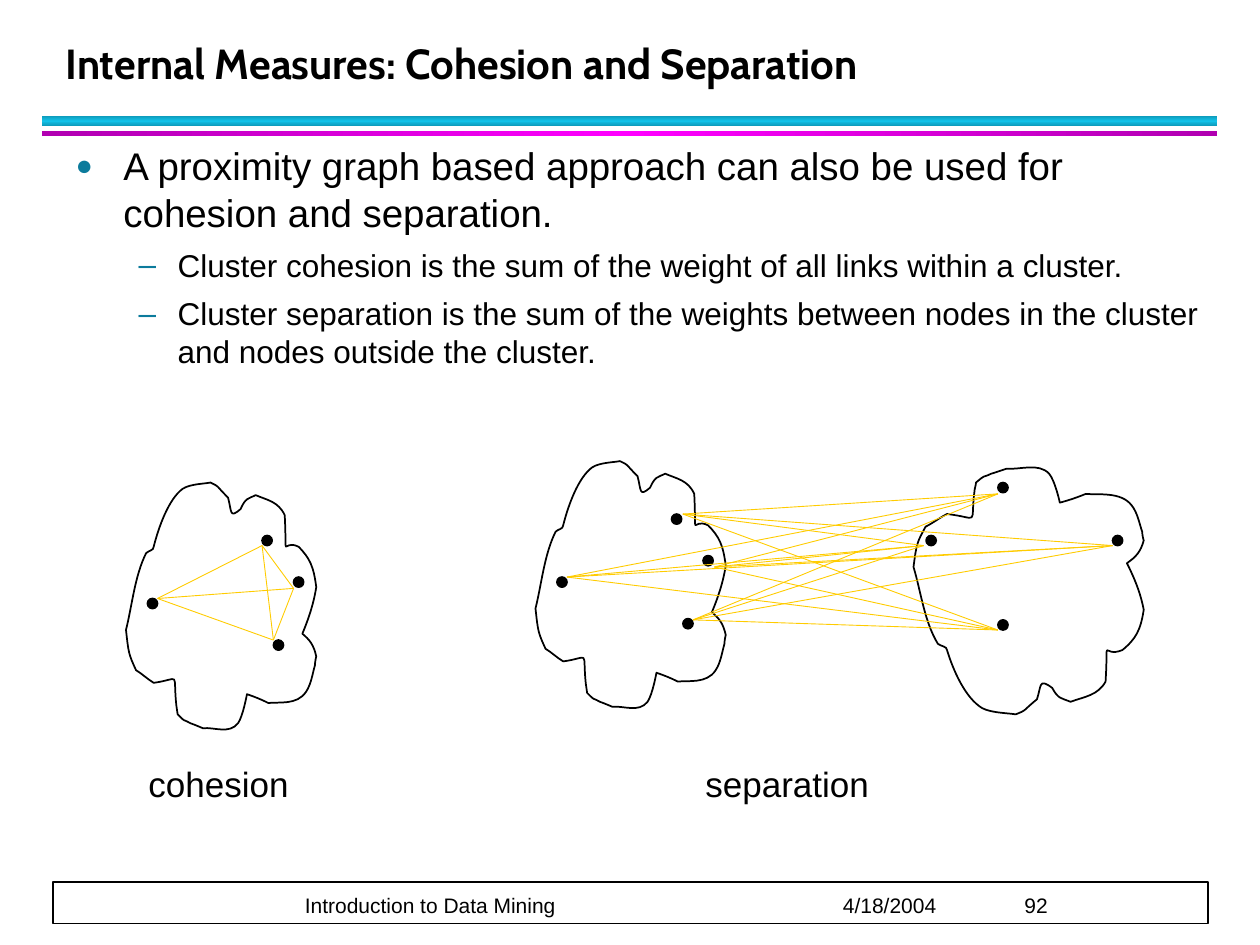
from copy import deepcopy
from itertools import combinations, product

from lxml import etree
from pptx import Presentation
from pptx.dml.color import RGBColor
from pptx.enum.shapes import MSO_CONNECTOR, MSO_SHAPE
from pptx.enum.text import MSO_ANCHOR, MSO_AUTO_SIZE, PP_ALIGN
from pptx.oxml.ns import qn
from pptx.util import Pt

RECTANGLE, OVAL = MSO_SHAPE.RECTANGLE, MSO_SHAPE.OVAL
STRAIGHT = MSO_CONNECTOR.STRAIGHT
BOTTOM = MSO_ANCHOR.BOTTOM
NO_AUTOFIT, GROW = MSO_AUTO_SIZE.NONE, MSO_AUTO_SIZE.SHAPE_TO_FIT_TEXT
LEFT = PP_ALIGN.LEFT
PX = 9144  # 100 px to the inch


def color(hex_string):
    return RGBColor.from_string(hex_string)


def set_font(paragraph, size, name="Arial", bold=False):
    font = paragraph.font
    font.name, font.size, font.bold = name, Pt(size), bold
    font.color.rgb = color("000000")


prs = Presentation()
prs.slide_width, prs.slide_height = 1000 * PX, 750 * PX
slide = prs.slides.add_slide(prs.slide_layouts[1])
shapes = slide.shapes
title, body = shapes.title, slide.placeholders[1]

# Title
title.left, title.top, title.width, title.height = 42 * PX, 17 * PX, 906 * PX, 58 * PX
title.text_frame.text = "Internal Measures: Cohesion and Separation"
title.text_frame.auto_size = NO_AUTOFIT
title.text_frame.vertical_anchor = BOTTOM
heading = title.text_frame.paragraphs[0]
heading.alignment = LEFT
heading.line_spacing = Pt(36)
set_font(heading, 24, "Cabin", True)

# Bulleted points: level, text
points = [
    (0, "A proximity graph based approach can also be used for cohesion and separation."),
    (1, "Cluster cohesion is the sum of the weight of all links within a cluster."),
    (1, "Cluster separation is the sum of the weights between nodes in the cluster "
        "and nodes outside the cluster."),
]
# Per level: text indent, hanging indent, bullet, bullet size, font size, space before
levels = [(38, 38, "●", 75, 22, 0), (81, 31, "–", 100, 18, 2.2)]
body.left, body.top, body.width, body.height = 50 * PX, 108 * PX, 925 * PX, 583 * PX
body.text_frame.auto_size = NO_AUTOFIT
body.text_frame.text = "\n".join(text for _, text in points)
for paragraph, (level, _) in zip(body.text_frame.paragraphs, points):
    indent, hanging, bullet, bullet_size, size, before = levels[level]
    paragraph.level = level
    paragraph.space_before, paragraph.space_after = Pt(before), Pt(4)
    props = paragraph._p.get_or_add_pPr()
    props.set("marL", str(indent * PX))
    props.set("indent", str(-hanging * PX))
    bullet_color = etree.SubElement(props, qn("a:buClr"))
    etree.SubElement(bullet_color, qn("a:srgbClr"), val="0C7B9C")
    etree.SubElement(props, qn("a:buSzPct"), val=str(bullet_size * 1000))
    etree.SubElement(props, qn("a:buFont"), typeface="Arial")
    etree.SubElement(props, qn("a:buChar"), char=bullet)
    set_font(paragraph, size)

# Gradient rules under the title
for top, height, edge, middle, angle in [
    (92, 8, "0E9AB9", "12C2E9", 90),
    (104, 4, "B100B1", "FF00FF", 0),
]:
    rule = shapes.add_shape(RECTANGLE, 33 * PX, top * PX, 933 * PX, height * PX)
    rule.shadow.inherit = False
    rule.line.fill.background()
    rule.fill.gradient()
    rule.fill.gradient_angle = angle
    stops = rule.fill.gradient_stops
    for stop, stop_color, position in zip(stops, (edge, middle), (0, 0.5)):
        stop.color.rgb = color(stop_color)
        stop.position = position
    stop_list = rule._element.spPr.find(qn("a:gradFill")).find(qn("a:gsLst"))
    last_stop = deepcopy(stop_list[0])
    last_stop.set("pos", "100000")
    stop_list.append(last_stop)

# Footer
footer_frame = shapes.add_shape(RECTANGLE, 42 * PX, 700 * PX, 917 * PX, 33 * PX)
footer_frame.shadow.inherit = False
footer_frame.fill.solid()
footer_frame.fill.fore_color.rgb = color("FFFFFF")
footer_frame.line.color.rgb = color("000000")
footer_frame.line.width = Pt(1)
footer = shapes.add_textbox(42 * PX, 700 * PX, 915 * PX, 28 * PX).text_frame
footer.margin_left = footer.margin_right = footer.margin_top = footer.margin_bottom = 0
footer.word_wrap = True
footer.vertical_anchor = BOTTOM
footer.text = "\tIntroduction to Data Mining\t4/18/2004\t92"
footer_line = footer.paragraphs[0]
footer_line.line_spacing = Pt(20)
tabs = etree.SubElement(footer_line._p.get_or_add_pPr(), qn("a:tabLst"))
for tab in (200, 627, 771):
    etree.SubElement(tabs, qn("a:tab"), pos=str(tab * PX), algn="l")
set_font(footer_line, 12)

# Cluster outline: a start point, then two control points and an end point per curve
outline = [
    (116, 439),
    (107, 457), (105, 480), (100, 500), (102, 518), (102, 519), (108, 532),
    (113, 535), (117, 539), (122, 542), (144, 539), (137, 532), (140, 560),
    (140, 562), (141, 565), (141, 567), (148, 574), (144, 570), (151, 574),
    (154, 575), (161, 578), (161, 578), (170, 577), (182, 583), (189, 574),
    (193, 568), (196, 551), (196, 551), (202, 553), (207, 555), (213, 558),
    (221, 557), (236, 560), (243, 549), (247, 543), (248, 535), (250, 528),
    (250, 525), (251, 521), (251, 521), (249, 512), (246, 508), (240, 503),
    (245, 491), (249, 479), (251, 466), (249, 450), (246, 443), (237, 434),
    (223, 427), (228, 449), (226, 409), (221, 398), (212, 397), (203, 393),
    (197, 396), (195, 395), (191, 404), (182, 412), (184, 406), (181, 395),
    (170, 384), (175, 387), (167, 383), (163, 384), (151, 384), (145, 388),
    (134, 396), (126, 418), (122, 434), (122, 437), (118, 437), (116, 439),
]

# Clusters: x scale, x shift, y scale, y shift, top left corners of the nodes
cohesion_nodes = [(217, 508), (208, 425), (117, 475), (233, 458)]
clusters = [
    (1, 0, 1, 0, cohesion_nodes),
    (1, 325, 1, -17, [(x + 325, y - 17) for x, y in cohesion_nodes]),
    (1.21, 604, -1, 950, [(883, 425), (735, 425), (792, 492), (792, 383)]),
]
for x_scale, x_shift, y_scale, y_shift, nodes in clusters:
    border = [
        (round((x * x_scale + x_shift) * PX), round((y * y_scale + y_shift) * PX))
        for x, y in outline
    ]
    builder = shapes.build_freeform(*border[0])
    builder.add_line_segments(border[1:], close=True)
    cluster = builder.convert_to_shape()
    # Every three straight segments become one Bezier curve
    segments = list(cluster._element.iter(qn("a:lnTo")))
    for first in range(0, len(segments), 3):
        curve = etree.Element(qn("a:cubicBezTo"))
        segments[first].addprevious(curve)
        for segment in segments[first:first + 3]:
            curve.append(segment[0])
            segment.getparent().remove(segment)
    cluster.shadow.inherit = False
    cluster.fill.background()
    cluster.line.color.rgb = color("000000")
    cluster.line.width = Pt(1)
    for x, y in nodes:
        node = shapes.add_shape(OVAL, x * PX, y * PX, 8 * PX, 8 * PX)
        node.shadow.inherit = False
        node.fill.solid()
        node.fill.fore_color.rgb = color("000000")
        node.line.color.rgb = color("000000")
        node.line.width = Pt(1)

# Links: every pair within the single cluster, every pair across the two others
cohesion_ends = [(125, 475), (208, 433), (217, 508), (233, 467)]
left_ends = [(550, 492), (567, 450), (450, 458), (542, 408)]
right_ends = [(792, 500), (733, 433), (792, 392), (883, 433)]
links = [*product(left_ends, right_ends), *combinations(cohesion_ends, 2)]
for (x1, y1), (x2, y2) in links:
    link = shapes.add_connector(STRAIGHT, x1 * PX, y1 * PX, x2 * PX, y2 * PX)
    link.line.color.rgb = color("FFCC00")
    link.line.width = Pt(0.5)
    etree.SubElement(link._element.spPr, qn("a:effectLst"))

# Captions
for text, left, width in [("cohesion", 108, 132), ("separation", 550, 150)]:
    caption = shapes.add_textbox(left * PX, 600 * PX, width * PX, 44 * PX).text_frame
    caption.word_wrap = False
    caption.auto_size = GROW
    caption.text = text
    set_font(caption.paragraphs[0], 20)

prs.save("out.pptx")
